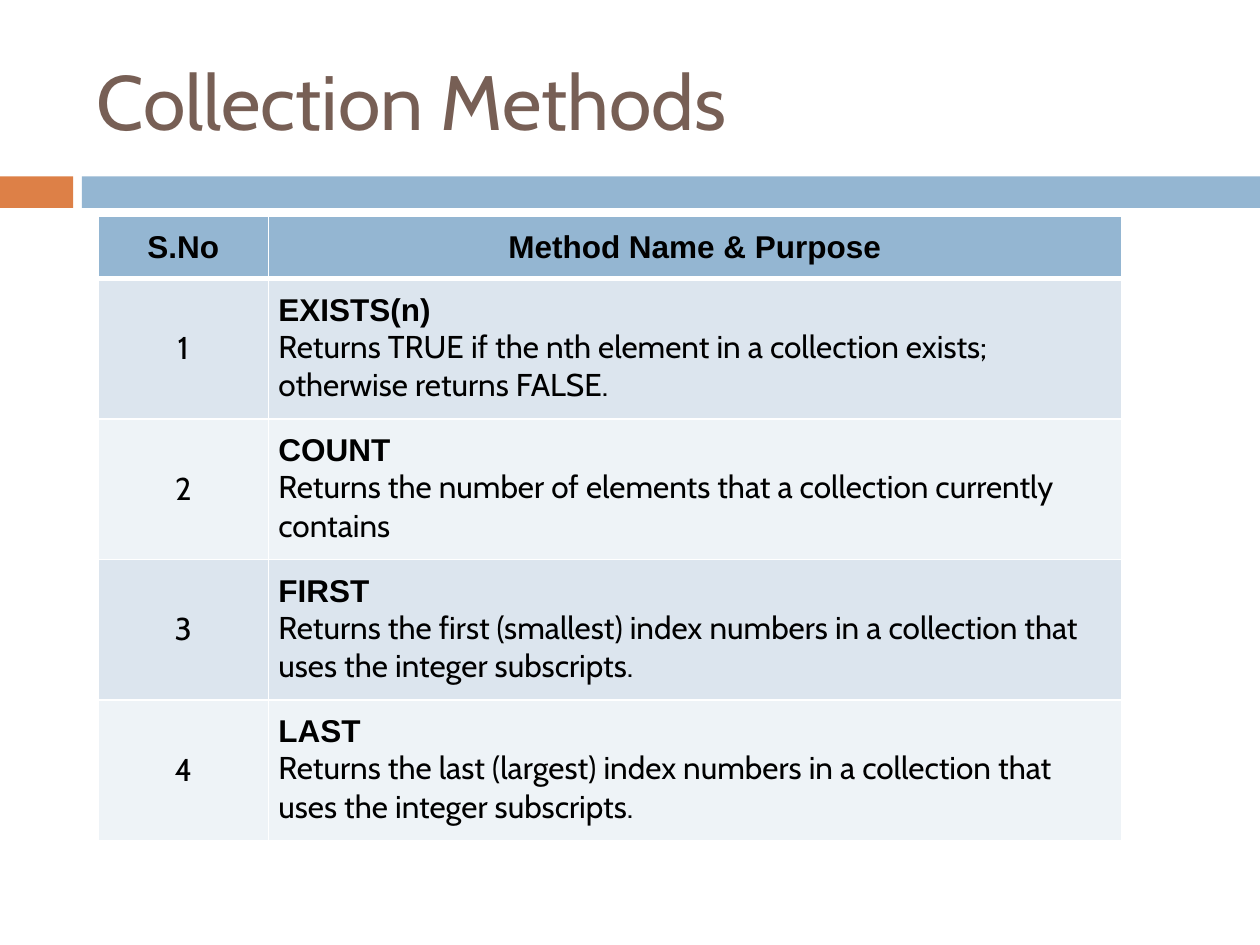
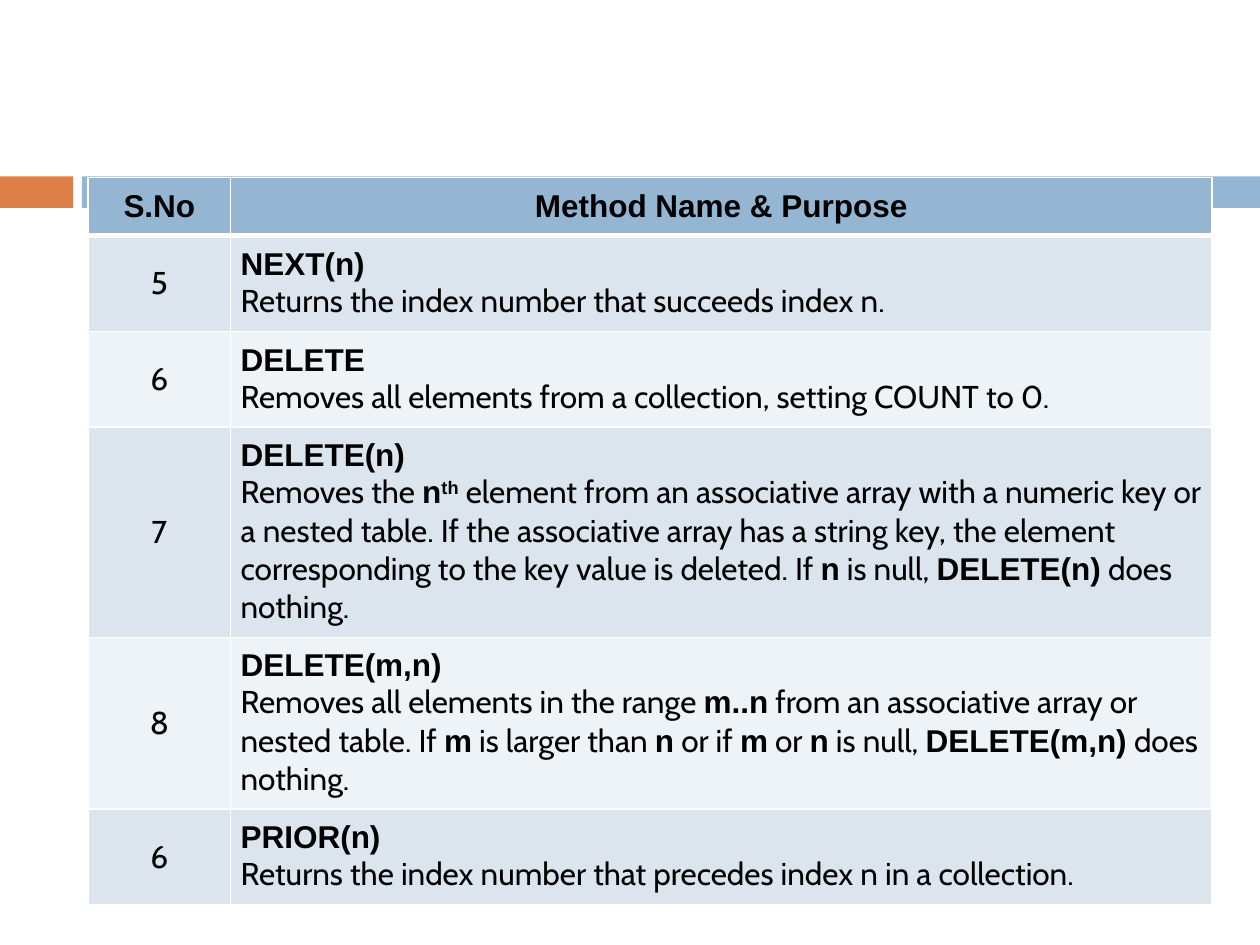
from dataclasses import dataclass

from lxml import etree
from pptx import Presentation
from pptx.dml.color import RGBColor
from pptx.enum import shapes, text
from pptx.oxml import ns
from pptx.util import Inches, Pt

ORANGE = RGBColor(0xDD, 0x80, 0x47)
BLUE = RGBColor(0x94, 0xB6, 0xD2)
BROWN = RGBColor(0x77, 0x5F, 0x55)
BLACK = RGBColor(0, 0, 0)
ROW_FILLS = (RGBColor(0xDC, 0xE5, 0xEE), RGBColor(0xEE, 0xF3, 0xF7))
BORDER = "FFFFFF"

BODY_FONT, STRONG_FONT = "Cabin", "Arial"
CELL_MARGIN = Inches(0.08)
HEADINGS = ("S.No", "Method Name & Purpose")


@dataclass
class Band:
    left: float
    width: float
    color: RGBColor


@dataclass
class Method:
    number: str
    name: str
    purpose: str  # **bold**, with ^ before a bold superscript


@dataclass
class MethodTable:
    left: float
    top: float
    widths: tuple[float, ...]
    heights: tuple[float, ...]
    methods: list[Method]
    title: str = ""


BANDS = (Band(0, 0.58, ORANGE), Band(0.65, 9.35, BLUE))

TABLES = (
    MethodTable(0.78, 1.72, (1.35, 6.77), (0.49,) + (1.115,) * 4, [
        Method("1", "EXISTS(n)", "Returns TRUE if the nth element in a collection exists; "
               "otherwise returns FALSE."),
        Method("2", "COUNT", "Returns the number of elements that a collection "
               "currently contains"),
        Method("3", "FIRST", "Returns the first (smallest) index numbers in a collection "
               "that uses the integer subscripts."),
        Method("4", "LAST", "Returns the last (largest) index numbers in a collection "
               "that uses the integer subscripts."),
    ], "Collection Methods"),
    MethodTable(0.7, 1.41, (1.13, 7.79), (0.45, 0.75, 0.75, 1.67, 1.36, 0.74), [
        Method("5", "NEXT(n)", "Returns the index number that succeeds index n."),
        Method("6", "DELETE", "Removes all elements from a collection, setting COUNT to 0."),
        Method("7", "DELETE(n)", "Removes the **n^th** element from an associative array "
               "with a numeric key or a nested table. If the associative array has a "
               "string key, the element corresponding to the key value is deleted. "
               "If **n** is null, **DELETE(n)** does nothing."),
        Method("8", "DELETE(m,n)", "Removes all elements in the range **m..n** from an "
               "associative array or nested table. If **m** is larger than **n** or if "
               "**m** or **n** is null, **DELETE(m,n)** does nothing."),
        Method("6", "PRIOR(n)", "Returns the index number that precedes index n in a "
               "collection."),
    ]),
)


def add_band(s, band: Band) -> None:
    sp = s.shapes.add_shape(shapes.MSO_SHAPE.RECTANGLE, Inches(band.left), Inches(1.4),
                            Inches(band.width), Inches(0.25))
    sp.shadow.inherit = False
    sp.fill.solid()
    sp.fill.fore_color.rgb = band.color
    sp.line.fill.background()


def add_title(s, title: str) -> None:
    tf = s.shapes.add_textbox(Inches(0.67), Inches(0.25), Inches(8.92),
                              Inches(1.08)).text_frame
    tf.word_wrap = True
    tf.vertical_anchor = text.MSO_ANCHOR.MIDDLE
    p = tf.paragraphs[0]
    p.text = title
    p.font.name, p.font.size, p.font.color.rgb = BODY_FONT, Pt(44), BROWN


def write(p, content: str, strong: bool = False, centered: bool = False) -> None:
    """Fill a paragraph, switching between body and strong at each **."""
    if centered:
        p.alignment = text.PP_ALIGN.CENTER
    p.font.size, p.font.color.rgb = Pt(18), BLACK
    parts = content.split("**")
    if len(parts) == 1:
        p.add_run().text = content
        p.font.name, p.font.bold = STRONG_FONT if strong else BODY_FONT, strong
        return
    for i, part in enumerate(parts):
        bold = i % 2 == 1
        for j, piece in enumerate(part.split("^")):
            r = p.add_run()
            r.text = piece
            r.font.name, r.font.bold = STRONG_FONT if bold else BODY_FONT, bold
            if j:
                r.font._element.set("baseline", "30000")


def style_cell(cell, color: RGBColor, top: int, bottom: int) -> None:
    """Set the borders (in points), fill, margins and anchor of a cell."""
    tc_pr = cell._tc.get_or_add_tcPr()
    for side, points in (("L", 1), ("R", 1), ("T", top), ("B", bottom)):
        ln = etree.SubElement(tc_pr, ns.qn(f"a:ln{side}"), w=str(Pt(points)))
        fill = etree.SubElement(ln, ns.qn("a:solidFill"))
        etree.SubElement(fill, ns.qn("a:srgbClr"), val=BORDER)
    cell.fill.solid()
    cell.fill.fore_color.rgb = color
    cell.margin_left = cell.margin_right = CELL_MARGIN
    cell.margin_top = cell.margin_bottom = CELL_MARGIN
    cell.vertical_anchor = text.MSO_ANCHOR.MIDDLE


def add_method_table(s, spec: MethodTable) -> None:
    table = s.shapes.add_table(len(spec.heights), len(spec.widths), Inches(spec.left),
                               Inches(spec.top), Inches(sum(spec.widths)),
                               Inches(sum(spec.heights))).table
    table.first_row = table.horz_banding = False
    for column, width in zip(table.columns, spec.widths):
        column.width = Inches(width)
    for i, (row, height) in enumerate(zip(table.rows, spec.heights)):
        row.height = Inches(height)
        color = ROW_FILLS[(i - 1) % 2] if i else BLUE
        for cell in row.cells:
            style_cell(cell, color, top=3 if i == 1 else 1, bottom=1 if i else 3)

    # Header row
    for col, heading in enumerate(HEADINGS):
        write(table.cell(0, col).text_frame.paragraphs[0], heading, True, True)

    # One row per method
    for i, method in enumerate(spec.methods, 1):
        write(table.cell(i, 0).text_frame.paragraphs[0], method.number, centered=True)
        tf = table.cell(i, 1).text_frame
        write(tf.paragraphs[0], method.name, strong=True)
        write(tf.add_paragraph(), method.purpose)


def main() -> None:
    prs = Presentation()
    prs.slide_width, prs.slide_height = Inches(10), Inches(7.5)
    for method_table in TABLES:
        s = prs.slides.add_slide(prs.slide_layouts[6])
        for band in BANDS:
            add_band(s, band)
        if method_table.title:
            add_title(s, method_table.title)
        add_method_table(s, method_table)
    prs.save("out.pptx")


if __name__ == "__main__":
    main()
